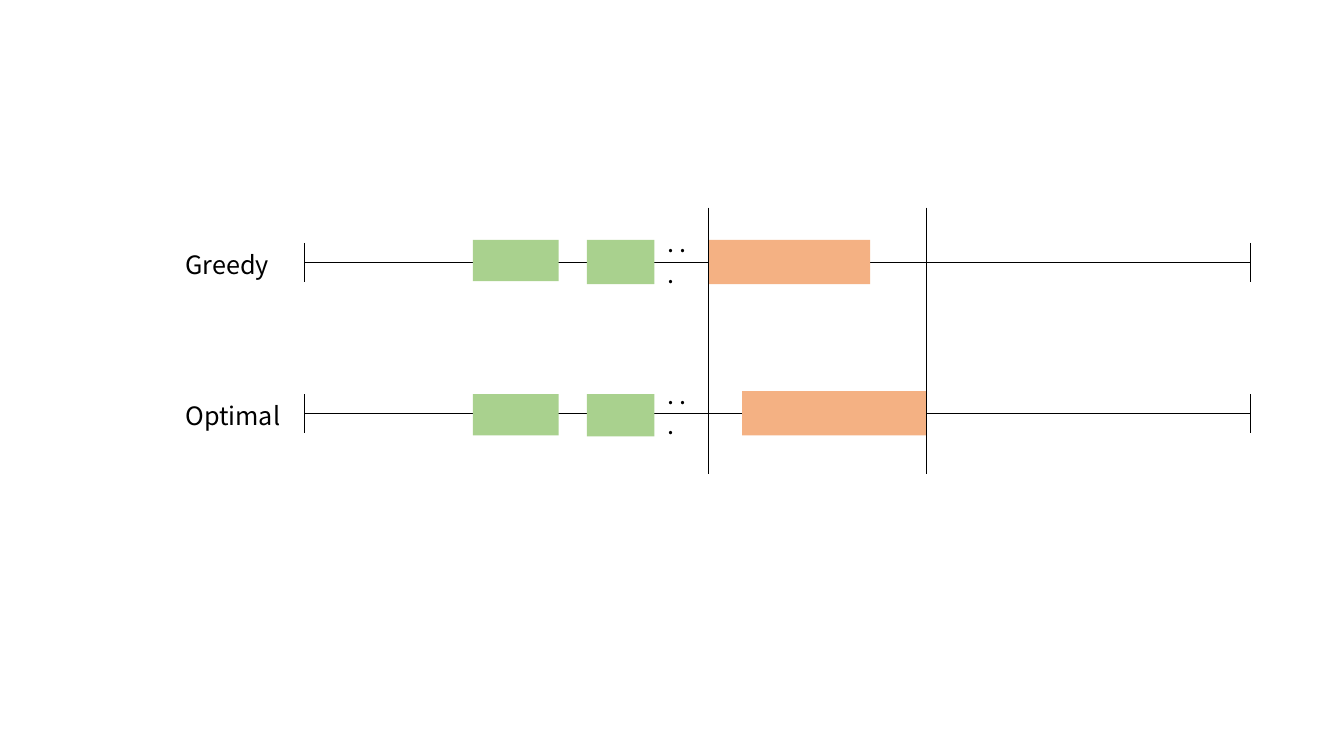
from dataclasses import dataclass

from lxml import etree
from pptx import Presentation
from pptx.dml.color import RGBColor
from pptx.enum.shapes import MSO_CONNECTOR, MSO_SHAPE
from pptx.enum.text import MSO_AUTO_SIZE
from pptx.oxml.ns import qn
from pptx.util import Pt

STRAIGHT = MSO_CONNECTOR.STRAIGHT
RECTANGLE = MSO_SHAPE.RECTANGLE
GROW = MSO_AUTO_SIZE.SHAPE_TO_FIT_TEXT

EMU_PER_PX = 9144


@dataclass(frozen=True)
class Theme:
    ink: RGBColor = RGBColor(0x00, 0x00, 0x00)
    shared: RGBColor = RGBColor(0xA9, 0xD1, 0x8E)
    differing: RGBColor = RGBColor(0xF4, 0xB1, 0x83)
    font: str = "Noto Sans CJK KR"
    text_size: Pt = Pt(18)
    line_width: Pt = Pt(0.5)


THEME = Theme()

AXIS_LEFT, AXIS_RIGHT = 302, 1240
GUIDE_TOP, GUIDE_BOTTOM = 206, 470
GREEDY_START, OPTIMAL_END = 703, 919
LABEL_LEFT, LABEL_WIDTH = 174, 125
DOTS_LEFT, DOTS_WIDTH = 652, 51
TEXT_HEIGHT = 40

TIMELINES = [
    ("Greedy", 260, [
        (469, 238, 85, 41, THEME.shared),
        (582, 238, 67, 44, THEME.shared),
        (GREEDY_START, 238, 160, 44, THEME.differing),
    ]),
    ("Optimal", 410, [
        (469, 391, 85, 41, THEME.shared),
        (582, 391, 67, 42, THEME.shared),
        (736, 388, 183, 44, THEME.differing),
    ]),
]


def px(*lengths):
    return [length * EMU_PER_PX for length in lengths]


def add_line(slide, x1, y1, x2, y2):
    line = slide.shapes.add_connector(STRAIGHT, *px(x1, y1, x2, y2))
    line.line.color.rgb = THEME.ink
    line.line.width = THEME.line_width
    etree.SubElement(line._element.spPr, qn("a:effectLst"))


def add_interval(slide, left, top, width, height, color):
    shape = slide.shapes.add_shape(RECTANGLE, *px(left, top, width, height))
    shape.shadow.inherit = False
    shape.fill.solid()
    shape.fill.fore_color.rgb = color
    shape.line.fill.background()


def add_text(slide, text, left, top, width):
    box = slide.shapes.add_textbox(*px(left, top, width, TEXT_HEIGHT))
    frame = box.text_frame
    frame.word_wrap = True
    frame.auto_size = GROW
    paragraph = frame.paragraphs[0]
    paragraph.text = text
    paragraph.font.name = THEME.font
    paragraph.font.size = THEME.text_size
    paragraph.font.color.rgb = THEME.ink


def add_timeline(slide, label, axis, intervals):
    add_line(slide, AXIS_LEFT, axis, AXIS_RIGHT, axis)
    for end in (AXIS_LEFT, AXIS_RIGHT):
        add_line(slide, end, axis - 19, end, axis + 20)
    add_text(slide, label, LABEL_LEFT, axis - 18, LABEL_WIDTH)
    for interval in intervals:
        add_interval(slide, *interval)
    add_text(slide, ". . .", DOTS_LEFT, axis - 39, DOTS_WIDTH)


def main():
    presentation = Presentation()
    presentation.slide_width, presentation.slide_height = px(1333, 750)
    slide = presentation.slides.add_slide(presentation.slide_layouts[6])
    for timeline in TIMELINES:
        add_timeline(slide, *timeline)
    for guide in (OPTIMAL_END, GREEDY_START):
        add_line(slide, guide, GUIDE_TOP, guide, GUIDE_BOTTOM)
    presentation.save("out.pptx")


if __name__ == "__main__":
    main()
